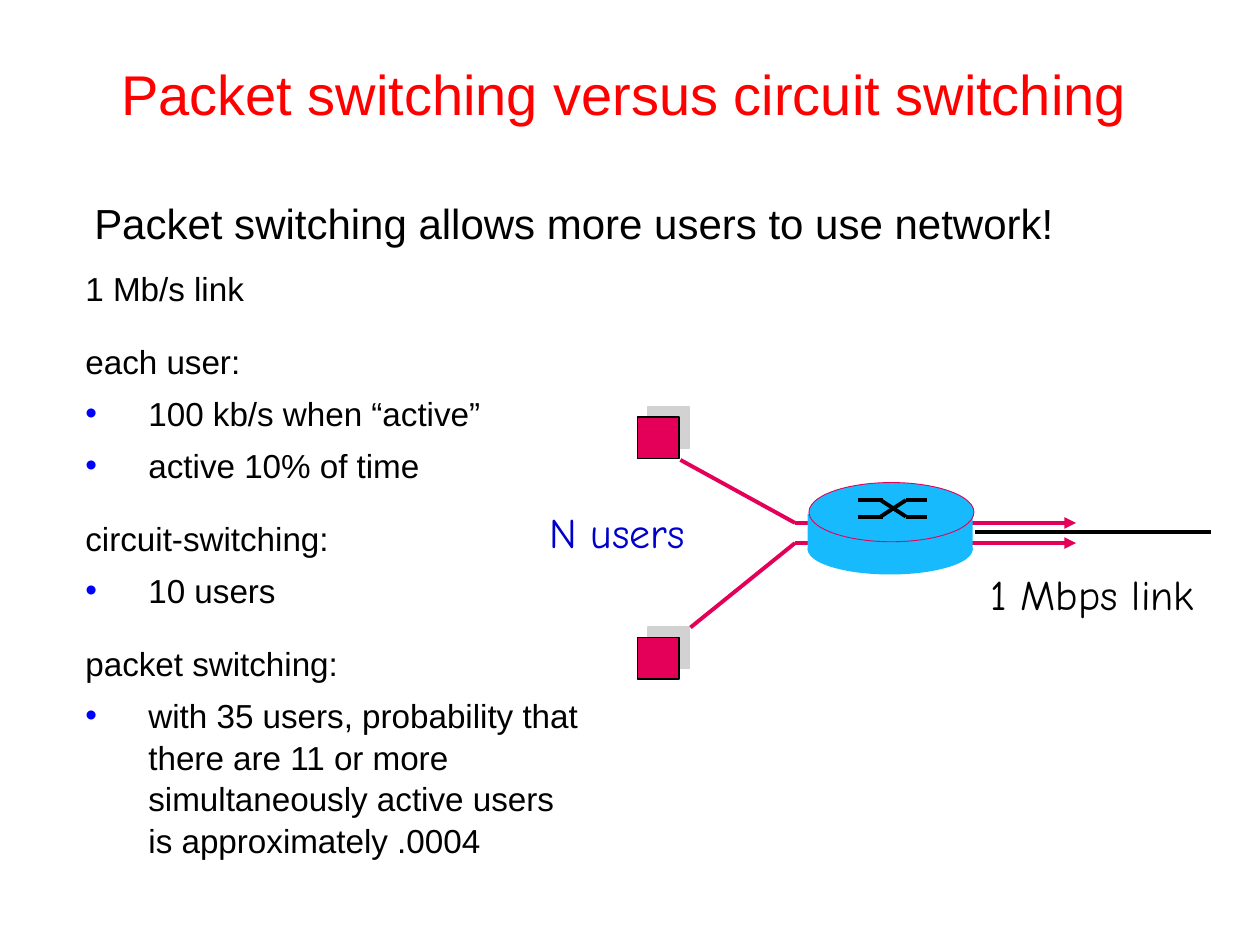
from dataclasses import dataclass
from typing import Optional

import pptx
import pptx.dml.color
import pptx.enum.shapes
import pptx.enum.text
import pptx.oxml
import pptx.oxml.ns
import pptx.util
from pptx.util import Inches

RGBColor = pptx.dml.color.RGBColor
Shape = pptx.enum.shapes.MSO_SHAPE
Anchor = pptx.enum.text.MSO_ANCHOR
Align = pptx.enum.text.PP_ALIGN

RED = RGBColor(0xFF, 0x00, 0x00)
BLACK = RGBColor(0x00, 0x00, 0x00)
NAVY = RGBColor(0x00, 0x00, 0xCC)
CRIMSON = RGBColor(0xE4, 0x00, 0x59)
SKY = RGBColor(0x17, 0xBB, 0xFD)
NS = pptx.oxml.ns.nsdecls("a")


@dataclass
class Label:
    """A one-paragraph text."""
    text: str
    box: tuple
    size: int
    color: RGBColor
    font: str = "Arial"
    align: Align = Align.LEFT
    anchor: Anchor = Anchor.TOP
    wrap: bool = True


@dataclass
class Solid:
    """A filled preset shape with an optional outline."""
    kind: Shape
    box: tuple
    fill: RGBColor
    outline: Optional[RGBColor] = None
    width: float = 0.75


@dataclass
class Wire:
    """A straight line, with or without an arrowhead at its end."""
    start: tuple
    end: tuple
    color: RGBColor = CRIMSON
    arrow: bool = False


@dataclass
class Point:
    """A paragraph of the body text."""
    text: str
    bullet: bool = False


def add_frame(shapes, box, wrap=True, anchor=Anchor.TOP):
    """Add a text box and return its text frame."""
    frame = shapes.add_textbox(*map(Inches, box)).text_frame
    frame.word_wrap = wrap
    frame.vertical_anchor = anchor
    return frame


def add_run(paragraph, text: str, size: int, color: RGBColor, font: str = "Arial") -> None:
    """Add one formatted run to a paragraph."""
    run = paragraph.add_run()
    run.text = text
    run.font.size = pptx.util.Pt(size)
    run.font.name = font
    run.font.color.rgb = color


def draw_label(shapes, label: Label) -> None:
    """Draw a one-paragraph text."""
    frame = add_frame(shapes, label.box, label.wrap, label.anchor)
    paragraph = frame.paragraphs[0]
    paragraph.alignment = label.align
    add_run(paragraph, label.text, label.size, label.color, label.font)


def draw_points(shapes, points: list, box: tuple) -> None:
    """Draw the body text with its bulleted points."""
    frame = add_frame(shapes, box)
    for index, point in enumerate(points):
        paragraph = frame.add_paragraph() if index else frame.paragraphs[0]
        paragraph.space_before = pptx.util.Pt(6 if point.bullet else 18)
        paragraph.line_spacing = 1.04
        if point.bullet:
            paragraph.level = 1
            properties = paragraph._p.get_or_add_pPr()
            properties.set("marL", str(Inches(0.5)))
            properties.set("indent", str(-Inches(0.5)))
            for xml in (f'<a:buClr {NS}><a:srgbClr val="0000FF"/></a:buClr>',
                        f'<a:buFont {NS} typeface="Arial"/>',
                        f'<a:buChar {NS} char="•"/>'):
                properties.append(pptx.oxml.parse_xml(xml))
        add_run(paragraph, point.text, 19, BLACK)


def draw_solid(shapes, solid: Solid):
    """Draw a filled shape and return it."""
    shape = shapes.add_shape(solid.kind, *map(Inches, solid.box))
    shape.shadow.inherit = False
    shape.fill.solid()
    shape.fill.fore_color.rgb = solid.fill
    if solid.outline is None:
        shape.line.fill.background()
    else:
        shape.line.color.rgb = solid.outline
        shape.line.width = pptx.util.Pt(solid.width)
    return shape


def draw_user(shapes, top: float) -> None:
    """Draw a user's square with its hard grey shadow."""
    square = draw_solid(shapes, Solid(Shape.RECTANGLE, (5.06, top, 0.33, 0.33), CRIMSON, BLACK))
    effects = square._element.spPr.find(pptx.oxml.ns.qn("a:effectLst"))
    effects.append(pptx.oxml.parse_xml(
        f'<a:outerShdw {NS} dist="{pptx.util.Pt(8.5)}" dir="{315 * 60000}" algn="ctr" '
        'rotWithShape="0"><a:srgbClr val="D2D2D2"/></a:outerShdw>'))


def draw_wire(shapes, wire: Wire) -> None:
    """Draw a straight line."""
    line = shapes.add_connector(pptx.enum.shapes.MSO_CONNECTOR.STRAIGHT,
                                *map(Inches, wire.start + wire.end))
    line.line.color.rgb = wire.color
    line.line.width = pptx.util.Pt(2.25)
    if wire.arrow:
        line.line._get_or_add_ln().append(
            pptx.oxml.parse_xml(f'<a:tailEnd {NS} type="triangle"/>'))
    line._element.spPr.append(pptx.oxml.parse_xml(f"<a:effectLst {NS}/>"))


def draw_router(shapes) -> None:
    """Draw the router: a disc with two crossing paths on top."""
    router = shapes.add_group_shape().shapes
    for solid in (Solid(Shape.OVAL, (6.41, 4.16, 1.31, 0.4), SKY),
                  Solid(Shape.RECTANGLE, (6.41, 4.08, 1.31, 0.29), SKY),
                  Solid(Shape.OVAL, (6.42, 3.83, 1.31, 0.47), SKY, CRIMSON, 0.5)):
        draw_solid(router, solid)
    upper, lower = 3.97, 4.1
    for entry, leave in ((upper, lower), (lower, upper)):
        draw_wire(router, Wire((6.81, entry), (7.01, entry), BLACK))
        draw_wire(router, Wire((6.99, entry), (7.19, leave), BLACK))
        draw_wire(router, Wire((7.19, leave), (7.36, leave), BLACK))


LABELS = [
    Label("Packet switching versus circuit switching", (0.58, 0.25, 8.75, 0.98), 32, RED,
          align=Align.CENTER, anchor=Anchor.MIDDLE),
    Label("Packet switching allows more users to use network!", (0.65, 1.52, 8.33, 0.67),
          24, BLACK),
    Label("N users", (4.26, 3.97, 1.4, 0.5), 24, NAVY, "Comic Neue", wrap=False),
    Label("1 Mbps link", (7.76, 4.46, 1.92, 0.5), 24, BLACK, "Comic Neue", wrap=False),
]
POINTS = [
    Point("1 Mb/s link"),
    Point("each user: "),
    Point("100 kb/s when “active”", True),
    Point("active 10% of time", True),
    Point("circuit-switching: "),
    Point("10 users", True),
    Point("packet switching: "),
    Point("with 35 users, probability that there are 11 or more simultaneously "
          "active users is approximately .0004", True),
]
USER_WIRES = [
    Wire((5.4, 3.65), (6.31, 4.15)),
    Wire((6.31, 4.15), (8.54, 4.15), arrow=True),
    Wire((6.31, 4.31), (8.54, 4.31), arrow=True),
    Wire((5.48, 4.98), (6.31, 4.31)),
]

deck = pptx.Presentation()
deck.slide_width, deck.slide_height = Inches(10), Inches(7.5)
shapes = deck.slides.add_slide(deck.slide_layouts[6]).shapes
draw_points(shapes, POINTS, (0.58, 2.07, 4.17, 5.08))
for user_top in (3.31, 5.06):
    draw_user(shapes, user_top)
for user_wire in USER_WIRES:
    draw_wire(shapes, user_wire)
for label in LABELS:
    draw_label(shapes, label)
draw_router(shapes)
draw_wire(shapes, Wire((7.74, 4.22), (9.61, 4.22), BLACK))
deck.save("out.pptx")
